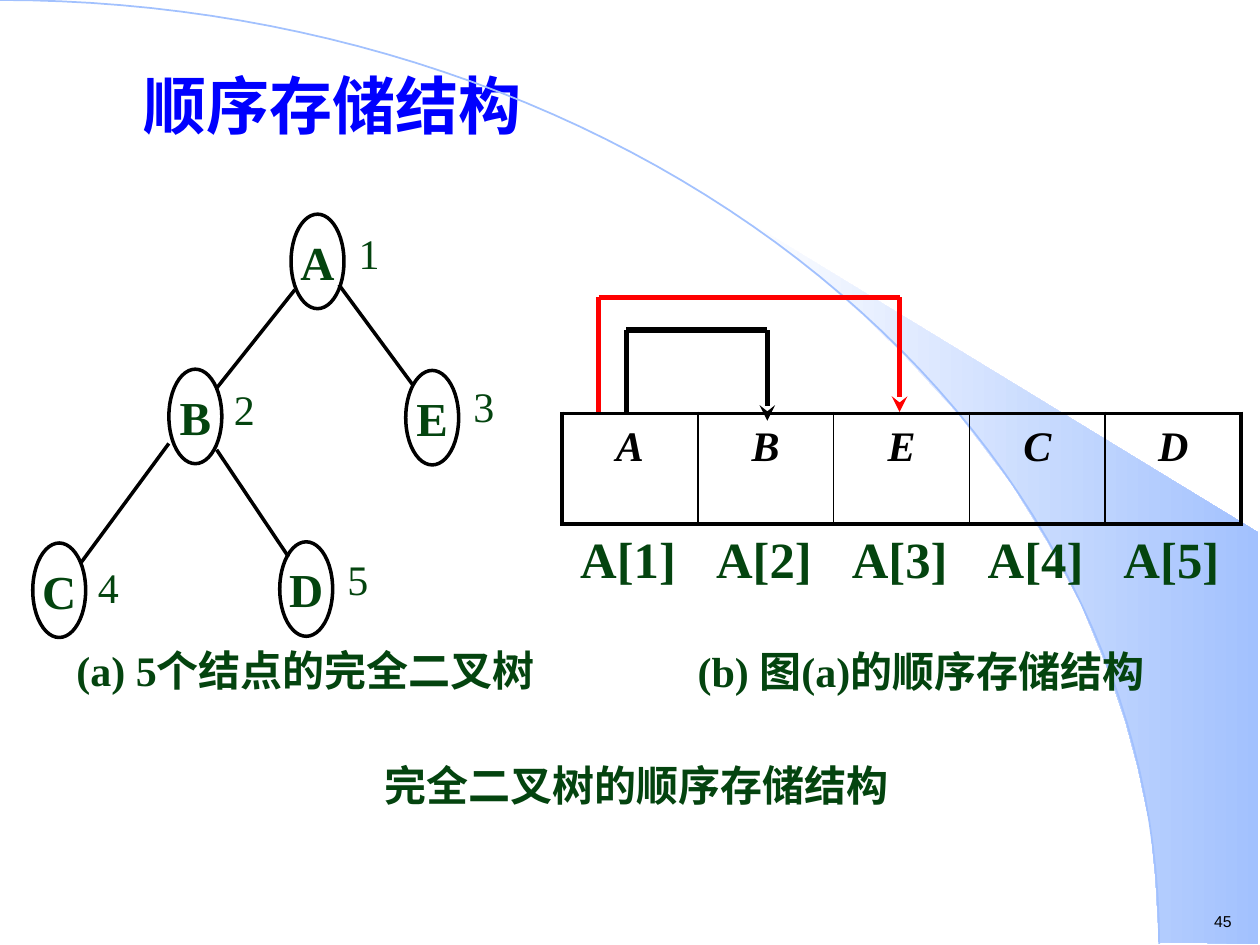
from dataclasses import dataclass
from math import cos, pi, sin

from lxml.etree import SubElement as Sub
from pptx import Presentation
from pptx.dml.color import RGBColor as Rgb
from pptx.enum.shapes import MSO_CONNECTOR as Link, MSO_SHAPE as Kind
from pptx.enum.text import MSO_ANCHOR as Anchor, PP_ALIGN as Align
from pptx.oxml.ns import qn
from pptx.util import Inches, Pt

HEX = {"ink": "000000", "leaf": "04440F", "title": "0000FF", "red": "FF0000",
       "sky": "A2C1FE", "white": "FFFFFF"}
COLS, ROWS = 100, 75
ARRAY_X, ARRAY_Y, CELL_W, CELL_H = 44.6, 32.8, 10.78, 8.8
NODE_W, NODE_H = 4.2, 7.5


@dataclass
class Node:
    key: str
    x: float
    y: float
    num: str
    num_x: float
    num_y: float


@dataclass
class Route:
    """An arrow that rises from one array cell and drops on another."""
    start: float
    end: float
    top: float
    base: float
    tip: float
    color: str


NODES = [Node("A", 23.1, 17, "1", 28.3, 18.8),
         Node("B", 13.4, 29.3, "2", 18.4, 31.2),
         Node("E", 32.2, 29.4, "3", 37.4, 31),
         Node("C", 2.6, 43.1, "4", 7.6, 45.3),
         Node("D", 22.2, 43, "5", 27.4, 44.7)]
EDGES = [(23.4, 23, 17.2, 30.8), (26.9, 22.6, 32.8, 30.6),
         (17.2, 35.7, 22.9, 44.2), (13.4, 35.2, 6.4, 44.7)]
ROUTES = [Route(49.7, 60.9, 26.2, 32.8, 33.4, "ink"),
          Route(47.5, 71.4, 23.6, 32.7, 32.7, "red")]
WEDGE = [(92, 74.8), (99.9, 74.9), (99.9, 42.3), (58.9, 17.3), (62.4, 19.9),
         (65.3, 22.2), (68.5, 25), (71.6, 28), (76.2, 33), (80.3, 38.4),
         (83.2, 43.1), (85.8, 47.9), (87.8, 52.8), (89.3, 57.2),
         (90.3, 60.9), (91.3, 65.6), (91.7, 69.6)]
ARC = [(92 * sin(i * pi / 120), 74.9 * (1 - cos(i * pi / 120)))
       for i in range(61)]

deck = Presentation()
deck.slide_width, deck.slide_height = Inches(10), Inches(7.5)
slide = deck.slides.add_slide(deck.slide_layouts[5])
shapes = slide.shapes


def grid(*vals: float) -> list[int]:
    """Turn grid units into slide lengths."""
    return [round(v * deck.slide_width / COLS) for v in vals]


def tint(name: str) -> Rgb:
    return Rgb.from_string(HEX[name])


def write(frame, text: str, *, size: float = 24, color: str = "leaf",
          face: str = "Times New Roman", bold: bool = True,
          slant: bool = False, gap=None) -> None:
    para = frame.paragraphs[0]
    para.alignment = Align.CENTER
    para.space_before = Pt(0)
    if gap:
        para.line_spacing = gap
    run = para.add_run()
    run.text = text
    font = run.font
    font.name, font.size, font.bold, font.italic = face, Pt(size), bold, slant
    font.color.rgb = tint(color)


def fit(frame, anchor=Anchor.TOP, wrap: bool = True) -> None:
    """Clear the margins and set how text sits."""
    frame.margin_left = frame.margin_right = 0
    frame.margin_top = frame.margin_bottom = 0
    frame.vertical_anchor, frame.word_wrap = anchor, wrap


def label(text: str, x: float, y: float, w: float, h: float, **form) -> None:
    frame = shapes.add_textbox(*grid(x, y, w, h)).text_frame
    fit(frame)
    write(frame, text, **form)


def line(ends: tuple, color: str = "ink", width: float = 2,
         arrow: bool = False) -> None:
    link = shapes.add_connector(Link.STRAIGHT, *grid(*ends))
    link.line.color.rgb, link.line.width = tint(color), Pt(width)
    props = link._element.spPr
    if arrow:
        Sub(props.find(qn("a:ln")), qn("a:tailEnd"), type="stealth")
    Sub(props, qn("a:effectLst"))


def outline(points: list, closed: bool):
    spots = [tuple(grid(*p)) for p in points]
    pen = shapes.build_freeform(*spots[0])
    pen.add_line_segments(spots[1:], close=closed)
    form = pen.convert_to_shape()
    form.shadow.inherit = False
    return form


def draw_back() -> None:
    wedge = outline(WEDGE, True)
    wedge.line.fill.background()
    wedge.fill.gradient()
    wedge.fill.gradient_angle = 0
    for stop, name in zip(wedge.fill.gradient_stops, ("white", "sky")):
        stop.color.rgb = tint(name)
    arc = outline(ARC, False)
    arc.fill.background()
    arc.line.color.rgb, arc.line.width = tint("sky"), Pt(1)


def draw_node(node: Node) -> None:
    oval = shapes.add_shape(Kind.OVAL, *grid(node.x, node.y, NODE_W, NODE_H))
    oval.shadow.inherit = False
    oval.fill.background()
    oval.line.color.rgb, oval.line.width = tint("ink"), Pt(2)
    fit(oval.text_frame, Anchor.MIDDLE, wrap=False)
    write(oval.text_frame, node.key, size=27)
    label(node.num, node.num_x, node.num_y, 2, 4.2, bold=False, gap=0.8)


def draw_route(way: Route) -> None:
    a, b, top = way.start, way.end, way.top
    line((a, way.base, a, top), way.color, 3)
    line((a, top, b, top), way.color, 3)
    line((b, top, b, way.tip), way.color, 3, arrow=True)


def edge_cell(cell, widths: dict[str, float]) -> None:
    """Draw cell borders, given their widths in points."""
    props = cell._tc.get_or_add_tcPr()
    for i, (side, width) in enumerate(widths.items()):
        edge = props.makeelement(qn(f"a:ln{side}"), {"w": str(Pt(width))})
        Sub(Sub(edge, qn("a:solidFill")), qn("a:srgbClr"), val=HEX["ink"])
        props.insert(i, edge)


def draw_array(keys: str) -> None:
    last = len(keys) - 1
    table = shapes.add_table(1, len(keys), *grid(
        ARRAY_X, ARRAY_Y, CELL_W * len(keys), CELL_H)).table
    table.first_row = table.horz_banding = False
    for i, key in enumerate(keys):
        cell = table.cell(0, i)
        cell.fill.background()
        write(cell.text_frame, key, color="ink", slant=True, gap=1.1)
        edge_cell(cell, {"L": 1 if i else 2.25, "R": 2.25 if i == last else 1,
                         "T": 2.25, "B": 2.25})
        label(f"A[{i + 1}]", ARRAY_X + 1.3 + i * CELL_W, 43.1, 7.9, 3.9,
              size=29, gap=0.72)


def draw_title(text: str) -> None:
    title = shapes.title
    title.left, title.top, title.width, title.height = grid(3.5, 4.8, 45.7, 7)
    fit(title.text_frame, Anchor.MIDDLE)
    write(title.text_frame, text, size=36, color="title")


draw_back()
draw_title("顺序存储结构")
for ends in EDGES:
    line(ends)
for node in NODES:
    draw_node(node)
draw_array("ABECD")
for way in ROUTES:
    draw_route(way)
label("(a) 5个结点的完全二叉树", 3.5, 51.7, 41.5, 5.5, gap=0.88)
label("(b) 图(a)的顺序存储结构", 53, 51.1, 40.2, 4.5, gap=Pt(30))
label("完全二叉树的顺序存储结构", 21.7, 60.1, 57.7, 4.2, gap=Pt(30))
label("45", 95.3, ROWS - 2.6, 3.5, 1.5, size=9, color="ink", face="Arial",
      bold=False)
deck.save("out.pptx")
